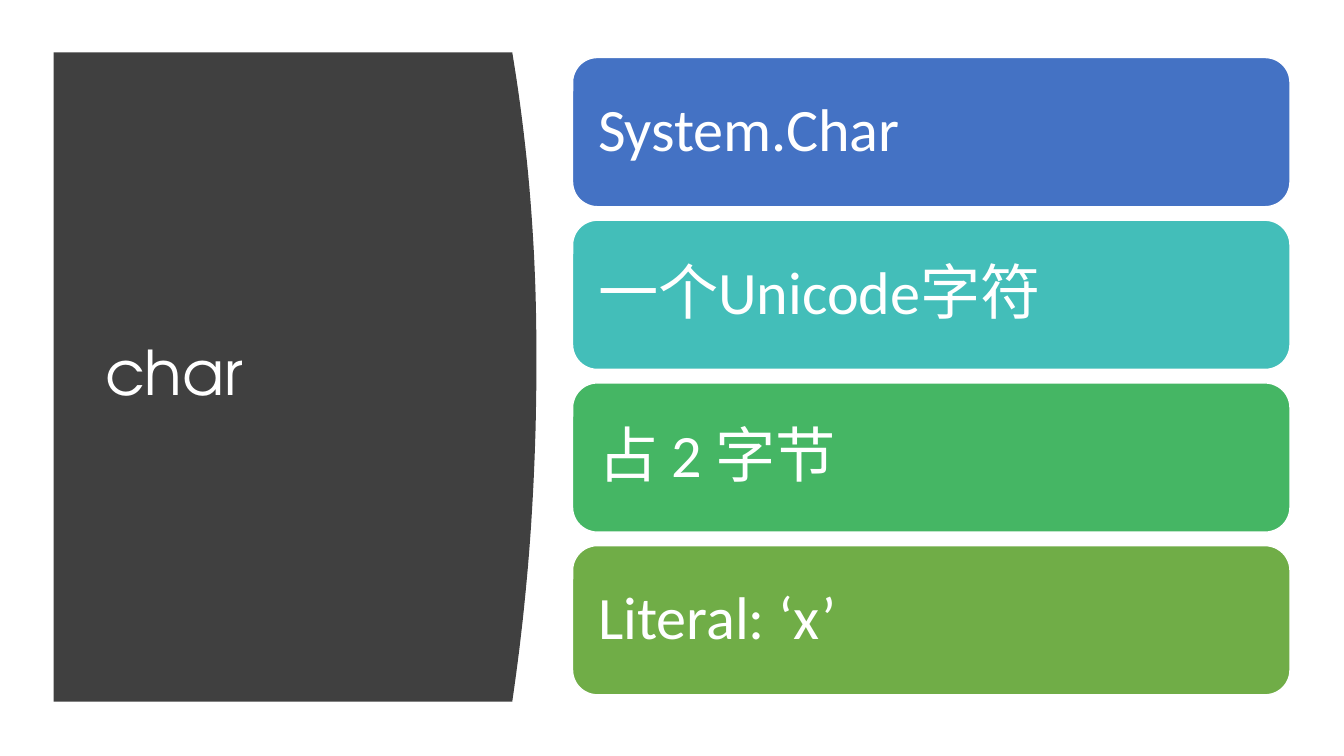
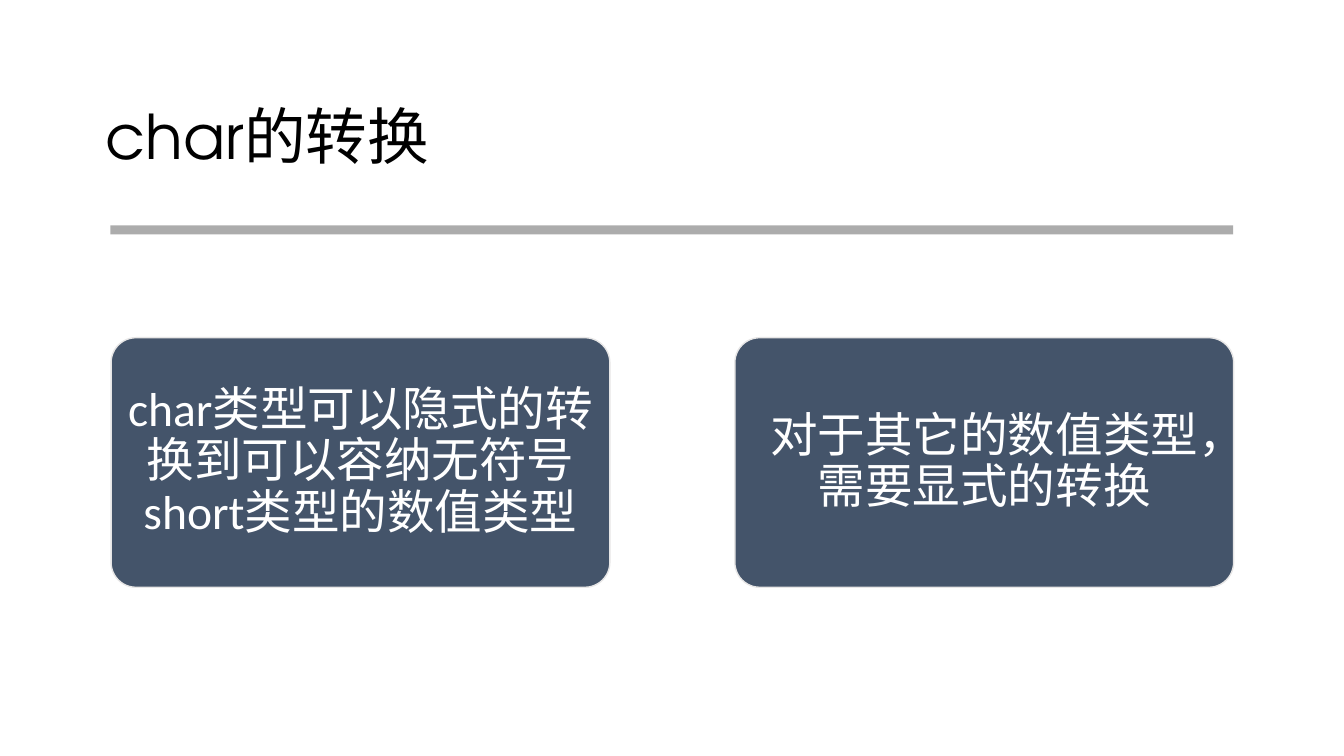
from lxml.etree import SubElement
from pptx import Presentation
from pptx.dml.color import RGBColor
from pptx.enum.lang import MSO_LANGUAGE_ID as Language
from pptx.enum.shapes import MSO_SHAPE as Shape
from pptx.enum.text import MSO_ANCHOR as Anchor, PP_ALIGN as Align
from pptx.oxml.ns import qn
from pptx.util import Cm, Pt

# Shared colours and fonts
WHITE = RGBColor(0xFF, 0xFF, 0xFF)
BLACK = RGBColor(0x00, 0x00, 0x00)
CHARCOAL = RGBColor(0x40, 0x40, 0x40)
GRAY = RGBColor(0x80, 0x80, 0x80)
PALE_GRAY = RGBColor(0xE7, 0xE6, 0xE6)
SLATE = RGBColor(0x44, 0x54, 0x6A)
BLUE = RGBColor(0x44, 0x72, 0xC4)
TEAL = RGBColor(0x43, 0xBE, 0xB9)
EMERALD = RGBColor(0x45, 0xB6, 0x64)
GREEN = RGBColor(0x70, 0xAD, 0x47)
TITLE_FONT = "TeX Gyre Adventor"
BODY_FONT = "Calibri"


def write_text(shape, text, *, size, font=BODY_FONT, color=WHITE,
               align=Align.LEFT, insets=(0.25, 0.13)):
    """Fill a shape with one vertically centred paragraph."""
    frame = shape.text_frame
    frame.word_wrap = True
    frame.vertical_anchor = Anchor.MIDDLE
    frame.margin_left = frame.margin_right = Cm(insets[0])
    frame.margin_top = frame.margin_bottom = Cm(insets[1])
    para = frame.paragraphs[0]
    para.alignment = align
    para.line_spacing = 0.9
    span = para.add_run()
    span.text = text
    span.font.name = font
    span.font.size = Pt(size)
    span.font.color.rgb = color
    span.font.language_id = Language.SIMPLIFIED_CHINESE


def add_title(page, text, left, top, width, height, color):
    box = page.shapes.add_textbox(Cm(left), Cm(top), Cm(width), Cm(height))
    write_text(box, text, size=44, font=TITLE_FONT, color=color)


def paint(shape, fill, line=None):
    shape.shadow.inherit = False
    shape.fill.solid()
    shape.fill.fore_color.rgb = fill
    if line is None:
        shape.line.fill.background()
    else:
        shape.line.color.rgb = line
        shape.line.width = Pt(1)


def add_card(page, text, left, top, width, height, *, fill, line,
             corner=0.1667, **text_format):
    card = page.shapes.add_shape(
        Shape.ROUNDED_RECTANGLE, Cm(left), Cm(top), Cm(width), Cm(height))
    card.adjustments[0] = corner
    paint(card, fill, line)
    write_text(card, text, **text_format)


def add_curved_panel(page):
    """Draw a dark panel whose right edge bulges outwards."""
    left, top, bottom = 1.35, 1.32, 17.68
    apex_x, apex_y, bulge, steps = 13.52, 9.0, 0.61, 48
    edge = []
    for step in range(steps + 1):
        y = top + (bottom - top) * step / steps
        reach = apex_y - top if y < apex_y else bottom - apex_y
        x = apex_x - bulge * (abs(y - apex_y) / reach) ** 2.1
        edge.append((Cm(x), Cm(y)))
    builder = page.shapes.build_freeform(Cm(left), Cm(top))
    builder.add_line_segments(edge + [(Cm(left), Cm(bottom))], close=True)
    paint(builder.convert_to_shape(), CHARCOAL)


def add_rule(page):
    """Draw the translucent bar below the title."""
    bar = page.shapes.add_shape(
        Shape.RECTANGLE, Cm(2.78), Cm(5.68), Cm(28.3), Cm(0.23))
    paint(bar, GRAY)
    color = bar.fill._xPr.find(qn("a:solidFill"))[0]
    SubElement(color, qn("a:alpha")).set("val", "65000")


def build_char_page(page):
    add_curved_panel(page)
    add_title(page, "char", 2.4, 2.82, 9.5, 13.3, WHITE)
    facts = [
        ("System.Char", BLUE),
        ("一个Unicode字符", TEAL),
        ("占 2 字节", EMERALD),
        ("Literal: ‘x’", GREEN),
    ]
    for row, (text, fill) in enumerate(facts):
        add_card(page, text, 14.43, 1.45 + 4.1 * row, 18.08, 3.76,
                 fill=fill, line=WHITE, size=43, insets=(0.46, 0.46))


def build_conversion_page(page):
    add_title(page, "char的转换", 2.42, 1.68, 29.03, 3.68, BLACK)
    add_rule(page)
    conversions = [
        "char类型可以隐式的转换到可以容纳无符号short类型的数值类型",
        "对于其它的数值类型，需要显式的转换",
    ]
    for column, text in enumerate(conversions):
        add_card(page, text, 2.8 + 15.72 * column, 8.51, 12.57, 6.29,
                 fill=SLATE, line=PALE_GRAY, corner=0.1, size=34,
                 align=Align.CENTER, insets=(0.18, 0.13))


def main():
    deck = Presentation()
    deck.slide_width, deck.slide_height = Cm(33.87), Cm(19.05)
    blank = deck.slide_layouts[6]
    for build in (build_char_page, build_conversion_page):
        build(deck.slides.add_slide(blank))
    deck.save("out.pptx")


if __name__ == "__main__":
    main()
